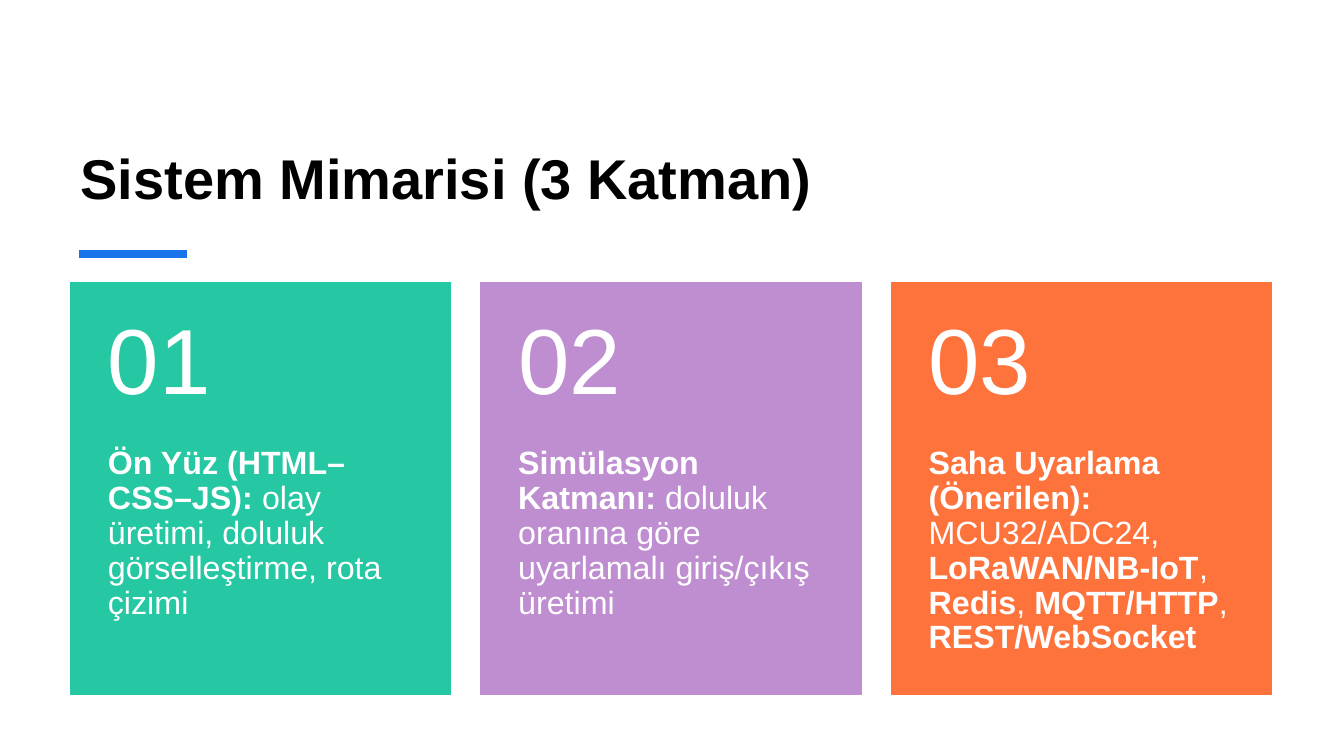
import itertools
from dataclasses import dataclass

import pptx
import pptx.dml.color
import pptx.enum.shapes
import pptx.enum.text
import pptx.util
from lxml import etree
from pptx.oxml.ns import qn

Inches = pptx.util.Inches
Anchor = pptx.enum.text.MSO_ANCHOR


@dataclass(frozen=True)
class Theme:
    font: str = "Arial"
    ink: str = "000000"
    paper: str = "FFFFFF"
    accent: str = "1973EB"
    cards: tuple = ("25C8A2", "BF8ED1", "FE733C")
    title_size: int = 40
    number_size: int = 66
    body_size: int = 23


THEME = Theme()

# Each layer alternates bold and regular runs, starting with bold.
LAYERS = [
    ["Ön Yüz (HTML–CSS–JS):", " olay üretimi, doluluk görselleştirme, rota çizimi"],
    ["Simülasyon Katmanı:", " doluluk oranına göre uyarlamalı giriş/çıkış üretimi"],
    ["Saha Uyarlama (Önerilen):", " MCU32/ADC24, ", "LoRaWAN/NB-IoT", ", ",
     "Redis", ", ", "MQTT/HTTP", ", ", "REST/WebSocket"],
]


def rgb(value):
    return pptx.dml.color.RGBColor.from_string(value)


def write_text(frame, runs, *, size, color, anchor, insets=(0.1, 0.05, 0.1, 0.05),
               spacing=1.0):
    """Fill a frame with one paragraph of (text, bold) runs; insets are left, top, right, bottom."""
    frame.word_wrap = True
    frame.auto_size = pptx.enum.text.MSO_AUTO_SIZE.NONE
    frame.vertical_anchor = anchor
    (frame.margin_left, frame.margin_top,
     frame.margin_right, frame.margin_bottom) = map(Inches, insets)
    paragraph = frame.paragraphs[0]
    paragraph.alignment = pptx.enum.text.PP_ALIGN.LEFT
    paragraph.line_spacing = spacing
    for text, bold in runs:
        run = paragraph.add_run()
        run.text = text
        run.font.name = THEME.font
        run.font.size = pptx.util.Pt(size)
        run.font.bold = bold
        run.font.color.rgb = rgb(color)


def add_heading(slide, left, top, width, height):
    title = slide.shapes.title
    title.left, title.top = Inches(left), Inches(top)
    title.width, title.height = Inches(width), Inches(height)
    write_text(title.text_frame, [("Sistem Mimarisi (3 Katman)", True)],
               size=THEME.title_size, color=THEME.ink, anchor=Anchor.BOTTOM)

    rule_left, rule_y = left + 0.08, top + height + 0.38
    underline = slide.shapes.add_connector(
        pptx.enum.shapes.MSO_CONNECTOR.STRAIGHT, Inches(rule_left), Inches(rule_y),
        Inches(rule_left + 1.07), Inches(rule_y))
    underline.line.color.rgb = rgb(THEME.accent)
    underline.line.width = pptx.util.Pt(6)
    etree.SubElement(underline._element.spPr, qn("a:effectLst"))


def add_layer_card(shapes, number, runs, color, left, top, width, height):
    card = shapes.add_shape(pptx.enum.shapes.MSO_SHAPE.RECTANGLE, Inches(left),
                            Inches(top), Inches(width), Inches(height))
    card.shadow.inherit = False
    card.fill.solid()
    card.fill.fore_color.rgb = rgb(color)
    card.line.color.rgb = rgb(color)
    card.line.width = pptx.util.Pt(1)

    number_height = height * 0.4
    description = shapes.add_textbox(Inches(left), Inches(top + number_height),
                                     Inches(width), Inches(height - number_height))
    write_text(description.text_frame, zip(runs, itertools.cycle((True, False))),
               size=THEME.body_size, color=THEME.paper, anchor=Anchor.TOP,
               insets=(0.37, 0, 0.37, 0.36), spacing=0.9)

    numeral = shapes.add_textbox(Inches(left), Inches(top),
                                 Inches(width), Inches(number_height))
    write_text(numeral.text_frame, [(f"{number:02}", False)],
               size=THEME.number_size, color=THEME.paper, anchor=Anchor.MIDDLE,
               insets=(0.37, 0.18, 0.37, 0.18), spacing=0.9)


def add_layers(slide, left, top, width, height, gap=0.3):
    """Place the layer cards as equal columns in one group."""
    group = slide.shapes.add_group_shape()
    card_width = (width - gap * (len(LAYERS) - 1)) / len(LAYERS)
    for index, (runs, color) in enumerate(zip(LAYERS, THEME.cards)):
        add_layer_card(group.shapes, index + 1, runs, color,
                       left + index * (card_width + gap), top, card_width, height)


def main():
    deck = pptx.Presentation()
    deck.slide_width, deck.slide_height = Inches(13.33), Inches(7.5)
    slide = deck.slides.add_slide(deck.slide_layouts.get_by_name("Title Only"))
    slide.background.fill.solid()
    slide.background.fill.fore_color.rgb = rgb(THEME.paper)
    add_heading(slide, 0.7, 0.62, 11.91, 1.52)
    add_layers(slide, 0.7, 2.8, 11.91, 4.09)
    deck.save("out.pptx")


if __name__ == "__main__":
    main()
